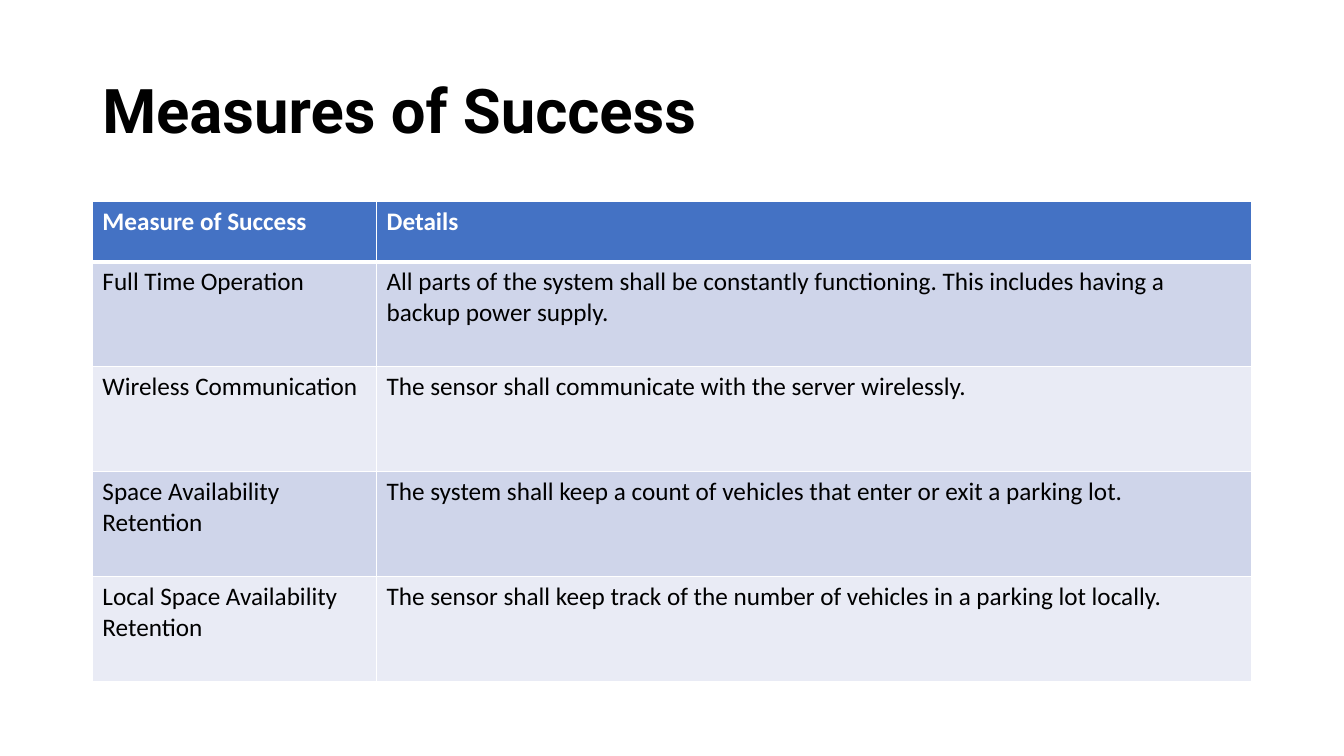
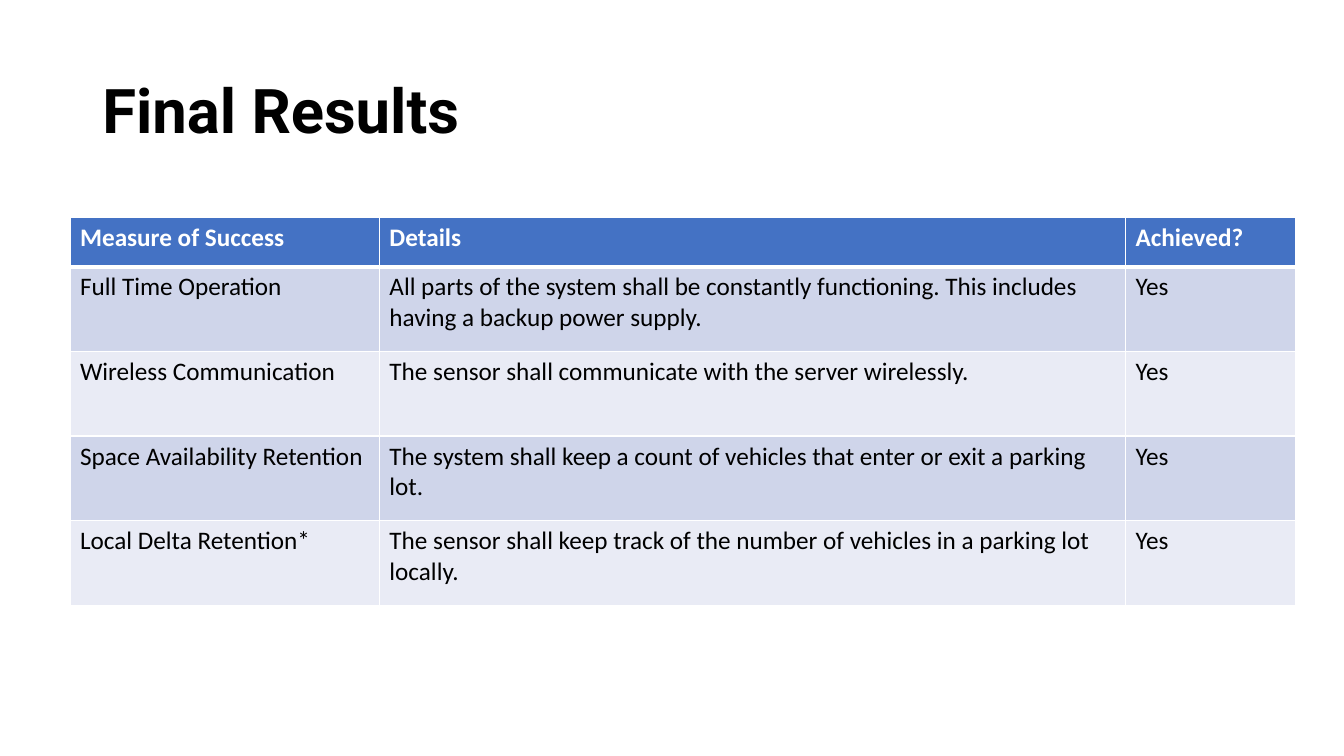
"""Build two slides that set out a project's measures of success and their results."""
import pptx
import pptx.dml.color
import pptx.enum.text
import pptx.oxml.ns
import pptx.util
from lxml import etree

Pt = pptx.util.Pt
WHITE, BLACK, BLUE = "FFFFFF", "000000", "4472C4"
BANDS = ("CFD5EA", "E9EBF5")

HEADS = ("Measure of Success", "Details")
GOALS = (
    ("Full Time Operation",
     "All parts of the system shall be constantly functioning. "
     "This includes having a backup power supply."),
    ("Wireless Communication",
     "The sensor shall communicate with the server wirelessly."),
    ("Space Availability Retention",
     "The system shall keep a count of vehicles that enter or exit a parking lot."),
)
LOCAL = "The sensor shall keep track of the number of vehicles in a parking lot locally."

SLIDES = (
    {
        "title": "Measures of Success",
        "rows": (HEADS, *GOALS, ("Local Space Availability Retention", LOCAL)),
        "spot": (66, 144),
        "cols": (203, 625),
        "high": (43, 75),
    },
    {
        "title": "Final Results",
        "rows": (
            (*HEADS, "Achieved?"),
            *((*goal, "Yes") for goal in (*GOALS, ("Local Delta Retention*", LOCAL))),
        ),
        "spot": (50, 155.5),
        "cols": (221, 533, 121.5),
        "high": (35, 60.5),
    },
)


def color(code):
    return pptx.dml.color.RGBColor.from_string(code)


def write(frame, text, font="Calibri", size=18, ink=BLACK, bold=False, line=None):
    para = frame.paragraphs[0]
    para.line_spacing = line
    run = para.add_run()
    run.text = text
    run.font.name = font
    run.font.size = Pt(size)
    run.font.bold = bold
    run.font.color.rgb = color(ink)


def border(cell, **widths):
    props = cell._tc.get_or_add_tcPr()
    qn = pptx.oxml.ns.qn
    for side in "LRTB":
        width = Pt(widths.get(side, 1))
        line = etree.SubElement(props, qn("a:ln" + side), w=str(width))
        fill = etree.SubElement(line, qn("a:solidFill"))
        etree.SubElement(fill, qn("a:srgbClr"), val=WHITE)


def add_title(slide, text):
    box = slide.shapes.add_textbox(Pt(66), Pt(29), Pt(828), Pt(104))
    frame = box.text_frame
    frame.word_wrap = True
    frame.vertical_anchor = pptx.enum.text.MSO_ANCHOR.MIDDLE
    write(frame, text, font="Roboto", size=44, bold=True, line=0.9)


def add_grid(slide, rows, spot, cols, high):
    head, body = high
    left, top = spot
    tall = head + body * (len(rows) - 1)
    grid = slide.shapes.add_table(
        len(rows), len(cols), Pt(left), Pt(top), Pt(sum(cols)), Pt(tall)).table
    for col, width in zip(grid.columns, cols):
        col.width = Pt(width)
    for r, row in enumerate(rows):
        first = r == 0
        grid.rows[r].height = Pt(head if first else body)
        for c, text in enumerate(row):
            cell = grid.cell(r, c)
            border(cell, T=3 if r == 1 else 1, B=3 if first else 1)
            cell.fill.solid()
            cell.fill.fore_color.rgb = color(BLUE if first else BANDS[(r - 1) % 2])
            write(cell.text_frame, text, ink=WHITE if first else BLACK, bold=first)


def main():
    deck = pptx.Presentation()
    deck.slide_width, deck.slide_height = Pt(960), Pt(540)
    for page in SLIDES:
        slide = deck.slides.add_slide(deck.slide_layouts[6])
        add_title(slide, page["title"])
        add_grid(slide, page["rows"], page["spot"], page["cols"], page["high"])
    deck.save("out.pptx")


if __name__ == "__main__":
    main()
